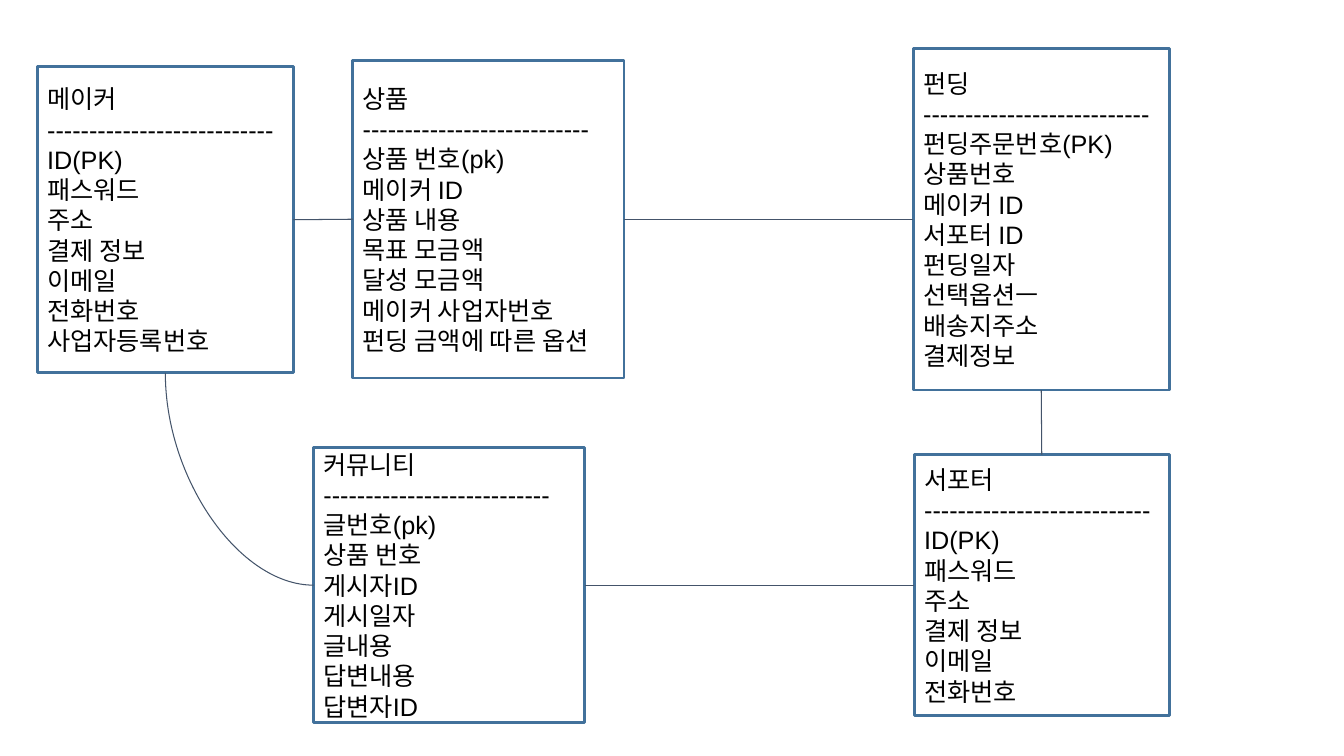
from pptx import Presentation
from pptx import util as u
from pptx.dml import color
from pptx.enum import shapes, text
from pptx.oxml import ns
from lxml import etree

COLORS = {"border": "42719B", "link": "44546A", "ink": "000000"}
COLUMNS, ROWS = 80, 45
TOP, LEFT, BOTTOM, RIGHT = range(4)
DIVIDER = "-" * 27

ENTITIES = {
    "product": ((21, 3.6, 16.14, 18.9), "상품", [
        "상품 번호(pk)", "메이커 ID\n상품 내용", "목표 모금액", "달성 모금액",
        "메이커 사업자번호", "펀딩 금액에 따른 옵션"]),
    "maker": ((2.22, 3.96, 15.24, 18.24), "메이커", [
        "ID(PK)", "패스워드", "주소", "결제 정보\n이메일", "전화번호", "사업자등록번호"]),
    "funding": ((54.36, 2.88, 15.24, 20.34), "펀딩", [
        "펀딩주문번호(PK)", "상품번호", "메이커 ID", "서포터 ID\n펀딩일자",
        "선택옵션ㅡ", "배송지주소", "결제정보"]),
    "supporter": ((54.42, 27.06, 15.18, 15.54), "서포터", [
        "ID(PK)", "패스워드", "주소", "결제 정보\n이메일", "전화번호"]),
    "community": ((18.66, 26.64, 16.14, 16.38), "커뮤니티", [
        "글번호(pk)", "상품 번호", "게시자ID", "게시일자", "글내용", "답변내용", "답변자ID"]),
}

RELATIONS = [
    ("maker", RIGHT, "product", LEFT),
    ("product", RIGHT, "funding", LEFT),
    ("funding", BOTTOM, "supporter", TOP),
    ("community", RIGHT, "supporter", LEFT),
]


def rgb(name):
    return color.RGBColor.from_string(COLORS[name])


def write(paragraph, content, size=18, font="Arial", ink="ink", align=text.PP_ALIGN.LEFT):
    paragraph.text = content
    paragraph.alignment = align
    for run in paragraph.runs:
        run.font.size = u.Pt(size)
        run.font.name = font
        run.font.color.rgb = rgb(ink)


class Diagram:
    def __init__(self, presentation):
        self.slide = presentation.slides.add_slide(presentation.slide_layouts[6])
        self.column = presentation.slide_width / COLUMNS
        self.row = presentation.slide_height / ROWS

    def entity(self, place, title, fields):
        left, top, width, height = place
        shape = self.slide.shapes.add_shape(
            shapes.MSO_SHAPE.RECTANGLE,
            round(left * self.column), round(top * self.row),
            round(width * self.column), round(height * self.row))
        shape.shadow.inherit = False
        shape.fill.background()
        shape.line.color.rgb = rgb("border")
        shape.line.width = u.Pt(2)
        frame = shape.text_frame
        frame.word_wrap = True
        frame.vertical_anchor = text.MSO_ANCHOR.MIDDLE
        for index, content in enumerate([title, DIVIDER, *fields]):
            paragraph = frame.add_paragraph() if index else frame.paragraphs[0]
            write(paragraph, content)
        return shape

    def connector(self, kind, *ends):
        connector = self.slide.shapes.add_connector(kind, *map(round, ends))
        connector.line.color.rgb = rgb("link")
        connector.line.width = u.Pt(0.75)
        etree.SubElement(connector._element.spPr, ns.qn("a:effectLst"))
        return connector

    def link(self, source, source_side, target, target_side):
        connector = self.connector(shapes.MSO_CONNECTOR.STRAIGHT, 0, 0, 0, 0)
        connector.begin_connect(source, source_side)
        connector.end_connect(target, target_side)

    def curve(self, source, target):
        start_x, start_y = source.left + source.width / 2, source.top + source.height
        end_x, end_y = target.left, target.top + target.height / 2
        middle_x, middle_y = (start_x + end_x) / 2, (start_y + end_y) / 2
        half_width, half_height = (end_y - start_y) / 2, (end_x - start_x) / 2
        connector = self.connector(
            shapes.MSO_CONNECTOR.CURVE,
            middle_x + half_width, middle_y - half_height,
            middle_x - half_width, middle_y + half_height)
        properties = connector._element.spPr
        properties.find(ns.qn("a:xfrm")).set("rot", str(270 * 60000))
        properties.find(ns.qn("a:prstGeom")).set("prst", "curvedConnector2")


def main():
    presentation = Presentation()
    presentation.slide_width = u.Inches(13.33)
    presentation.slide_height = u.Inches(7.5)
    diagram = Diagram(presentation)
    entities = {name: diagram.entity(*details) for name, details in ENTITIES.items()}
    for source, source_side, target, target_side in RELATIONS:
        diagram.link(entities[source], source_side, entities[target], target_side)
    diagram.curve(entities["maker"], entities["community"])
    presentation.save("out.pptx")


if __name__ == "__main__":
    main()
